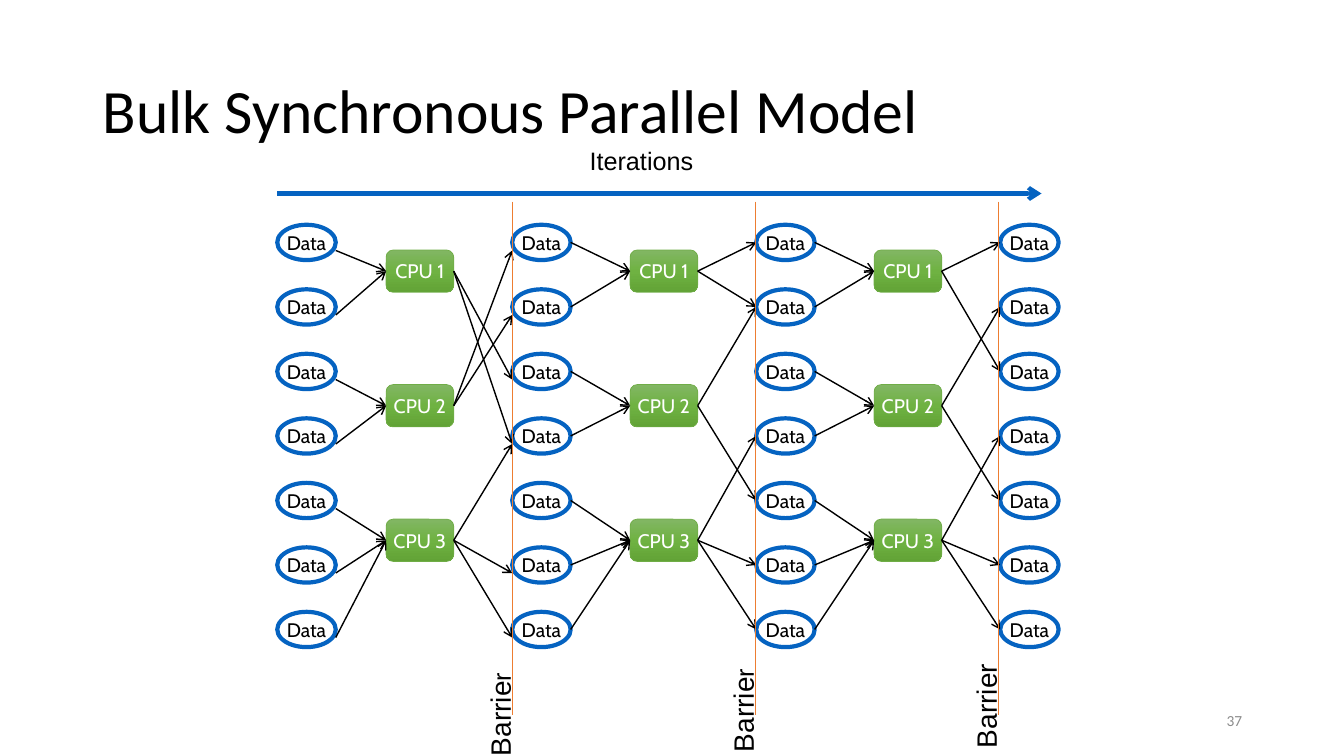
from copy import deepcopy

from lxml.etree import SubElement
from pptx import Presentation
from pptx.dml.color import RGBColor
from pptx.enum.shapes import MSO_CONNECTOR, MSO_SHAPE
from pptx.enum.text import MSO_ANCHOR, MSO_AUTO_SIZE, PP_ALIGN
from pptx.oxml.ns import qn
from pptx.util import Inches, Pt

BLUE, ORANGE, GREEN, BLACK, WHITE = "0563C1", "ED7D31", "70AD47", "000000", "FFFFFF"
CPU_GRADIENT = [(0, "82B664"), (0.5, "6FB242"), (1, "62A336")]

DATA_WIDTH, DATA_HEIGHT, DATA_PITCH, DATA_COUNT = 0.58, 0.35, 0.64, 7
CPU_WIDTH, CPU_HEIGHT, CPU_PITCH = 0.67, 0.42, 1.335
DATA_TOP, CPU_TOP = 2.23, 2.48
DATA_COLUMNS = [2.75, 5.08, 7.5, 9.92]
CPU_LEAD = 1.25

CPU_INPUTS = [(0, 1), (2, 3), (4, 5, 6)]
STAGE_OUTPUTS = [
    [(2, 3), (1, 0), (5, 3, 6)],
    [(0, 1), (1, 4), (5, 3, 6)],
    [(0, 2), (1, 4), (5, 3, 6)],
]
STAGE_DIPS = [0.08, 0, 0]


def rgb(hex_colour):
    return RGBColor.from_string(hex_colour)


def add_run(paragraph, words, size, font, colour):
    run = paragraph.add_run()
    run.text = words
    run.font.size = Pt(size)
    run.font.name = font
    run.font.color.rgb = rgb(colour)


def add_label(slide, box, runs, colour=BLACK, font="Arial", wrap=False):
    label = slide.shapes.add_textbox(*map(Inches, box))
    label.text_frame.word_wrap = wrap
    for words, size in runs:
        add_run(label.text_frame.paragraphs[0], words, size, font, colour)
    return label


def add_line(slide, start, end, colour, width, arrow=True):
    line = slide.shapes.add_connector(
        MSO_CONNECTOR.STRAIGHT, *map(Inches, (*start, *end)))
    line.line.color.rgb = rgb(colour)
    line.line.width = Pt(width)
    if arrow:
        SubElement(line.line._get_or_add_ln(), qn("a:tailEnd"), type="arrow")
    SubElement(line._element.spPr, qn("a:effectLst"))
    return line


def add_node(slide, kind, box, words, line_colour, line_width, text_colour):
    node = slide.shapes.add_shape(kind, *map(Inches, box))
    node.shadow.inherit = False
    node.fill.background()
    node.line.color.rgb = rgb(line_colour)
    node.line.width = Pt(line_width)
    frame = node.text_frame
    frame.word_wrap = False
    frame.vertical_anchor = MSO_ANCHOR.MIDDLE
    frame.paragraphs[0].alignment = PP_ALIGN.CENTER
    add_run(frame.paragraphs[0], words, 14, "Cabin", text_colour)
    return node


def add_cpu(slide, left, top, number):
    cpu = add_node(slide, MSO_SHAPE.ROUNDED_RECTANGLE,
                   (left, top, CPU_WIDTH, CPU_HEIGHT),
                   f"CPU {number}", GREEN, 0.5, WHITE)
    cpu.fill.gradient()
    cpu.fill.gradient_angle = 270
    stops = cpu._element.spPr.find(".//" + qn("a:gsLst"))
    stops.insert(1, deepcopy(stops[0]))
    for stop, (position, colour) in zip(cpu.fill.gradient_stops, CPU_GRADIENT):
        stop.position = position
        stop.color.rgb = rgb(colour)
    return cpu


def add_data_column(slide, left, top):
    for row in range(DATA_COUNT):
        add_node(slide, MSO_SHAPE.OVAL,
                 (left, top + row * DATA_PITCH, DATA_WIDTH, DATA_HEIGHT),
                 "Data", BLUE, 3, BLACK)


def add_stage(slide, source_left, target_left, outputs, dip):
    cpu_left = target_left - CPU_LEAD
    source_right = source_left + DATA_WIDTH

    def data_middle(row):
        return DATA_TOP + DATA_HEIGHT / 2 + row * DATA_PITCH + dip

    for index, (sources, targets) in enumerate(zip(CPU_INPUTS, outputs)):
        cpu_top = CPU_TOP + index * CPU_PITCH
        cpu_middle = cpu_top + CPU_HEIGHT / 2
        cpu = add_cpu(slide, cpu_left, cpu_top, index + 1)
        for row in sources:
            add_line(slide, (source_right, data_middle(row)),
                     (cpu_left, cpu_middle), BLACK, 1).end_connect(cpu, 1)
        for row in targets:
            add_line(slide, (cpu_left + CPU_WIDTH, cpu_middle),
                     (target_left, data_middle(row)), BLACK, 1).begin_connect(cpu, 3)


def add_barrier(slide, left, label_top, runs):
    add_line(slide, (left, 2), (left, 7.09), ORANGE, 0.5, arrow=False)
    label = add_label(slide, (left - 0.67, label_top, 1.1, 0.44), runs)
    label.rotation = 270


def add_title(slide, box):
    title = slide.shapes.title
    title.left, title.top, title.width, title.height = map(Inches, box)
    frame = title.text_frame
    frame.auto_size = MSO_AUTO_SIZE.NONE
    frame.vertical_anchor = MSO_ANCHOR.MIDDLE
    heading = frame.paragraphs[0]
    heading.alignment = PP_ALIGN.LEFT
    heading.line_spacing = 0.9
    add_run(heading, "Bulk Synchronous Parallel Model", 44, "Calibri", BLACK)


def add_page_number(slide, box):
    number = add_label(slide, box, [("37", 11)], "8C8C8C", "Calibri", wrap=True)
    number.text_frame.vertical_anchor = MSO_ANCHOR.MIDDLE
    number.text_frame.paragraphs[0].alignment = PP_ALIGN.RIGHT


def main():
    deck = Presentation()
    deck.slide_width, deck.slide_height = Inches(13.33), Inches(7.5)
    slide = deck.slides.add_slide(deck.slide_layouts[5])

    add_title(slide, (0.92, 0.4, 11.5, 1.45))
    for left in DATA_COLUMNS:
        add_data_column(slide, left, DATA_TOP)
    for stage in zip(DATA_COLUMNS, DATA_COLUMNS[1:], STAGE_OUTPUTS, STAGE_DIPS):
        add_stage(slide, *stage)

    add_line(slide, (2.75, 1.92), (10.33, 1.92), BLUE, 3)
    add_label(slide, (5.75, 1.39, 1.24, 0.4), [("Iterations", 18)])

    split_barrier = [("Barrie", 20), ("r", 18)]
    for index, runs in enumerate([split_barrier, split_barrier, [("Barrier", 20)]]):
        add_barrier(slide, 5.08 + 2.41 * index, 6.83 - 0.04 * index, runs)

    add_page_number(slide, (9.42, 6.95, 3, 0.4))
    deck.save("out.pptx")


if __name__ == "__main__":
    main()
